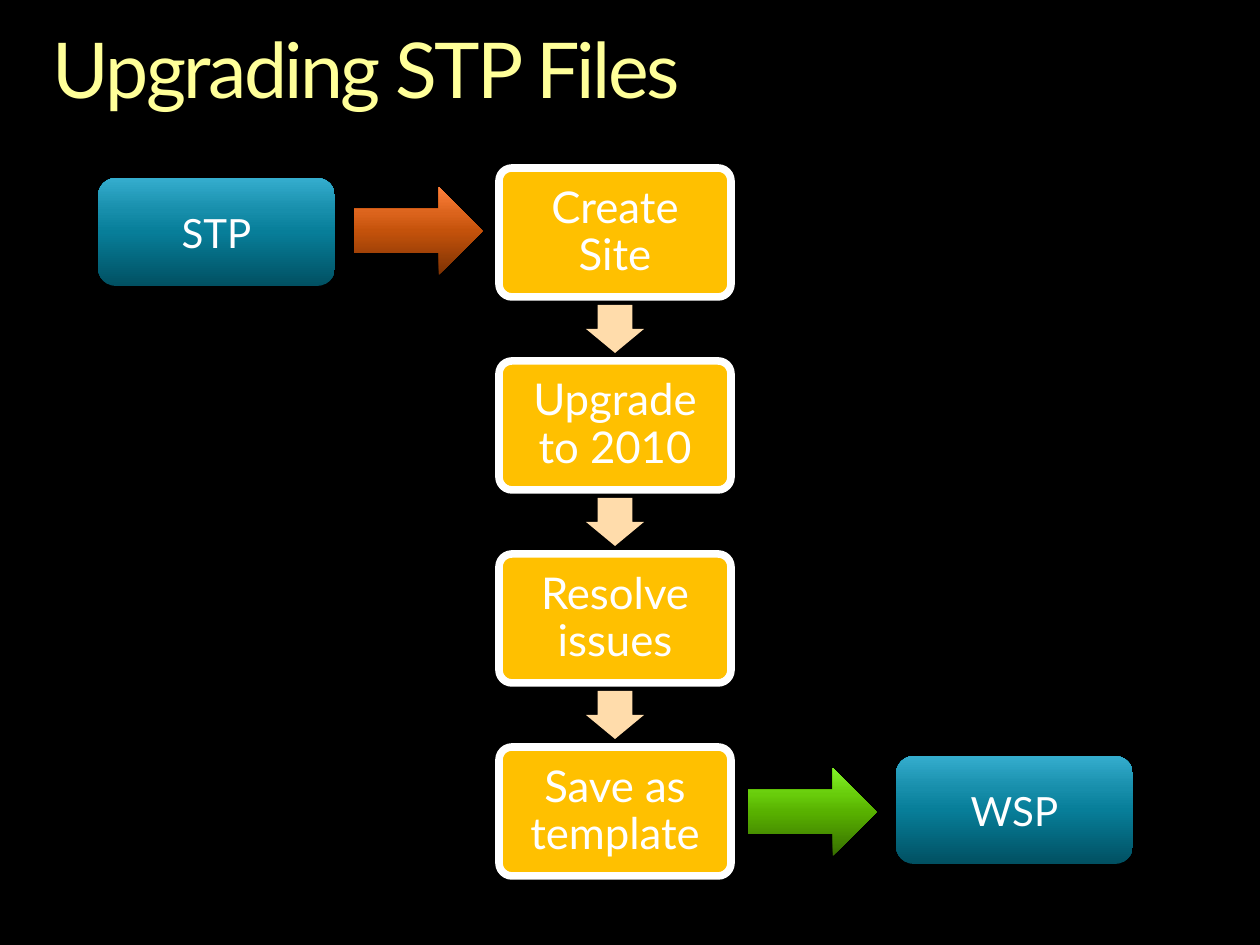
import pptx
import pptx.util
import pptx.dml.color
import pptx.enum.shapes
import pptx.enum.text
import pptx.oxml
import pptx.oxml.ns

SHAPE = pptx.enum.shapes.MSO_SHAPE
ALIGN = pptx.enum.text.PP_ALIGN
ANCHOR = pptx.enum.text.MSO_ANCHOR
AUTO = pptx.enum.text.MSO_AUTO_SIZE

TEAL = [(0, "015062"), (50, "077E99"), (70, "178EAB"), (100, "35ADCE")]
ORANGE = [(0, "7D3203"), (50, "C4520B"), (70, "DB631C"), (100, "FF803C")]
GREEN = [(0, "376E00"), (50, "58B100"), (70, "68CC0B"), (100, "83F229")]


def px(n):
    return round(n * 914400 / 126)


def rgb(color):
    return pptx.dml.color.RGBColor.from_string(color)


def element(xml):
    return pptx.oxml.parse_xml(xml.replace(">", " " + pptx.oxml.ns.nsdecls("a") + ">", 1))


class Deck:
    font = "Lato"
    white = "FFFFFF"

    def __init__(self, prs, background):
        self.slide = prs.slides.add_slide(prs.slide_layouts[6])
        fill = self.slide.background.fill
        fill.solid()
        fill.fore_color.rgb = rgb(background)

    def label(self, s, text, size, color, inset, align=ALIGN.CENTER, spacing=None):
        tf = s.text_frame
        tf.text = text
        tf.word_wrap = True
        tf.margin_left = tf.margin_right = px(inset[0])
        tf.margin_top = tf.margin_bottom = px(inset[1])
        tf.vertical_anchor = ANCHOR.MIDDLE
        p = tf.paragraphs[0]
        p.alignment = align
        if spacing:
            p.line_spacing = spacing
        r = p.runs[0]
        r.font.name = self.font
        r.font.size = pptx.util.Pt(size)
        r.font.color.rgb = rgb(color)
        return r

    def title(self, text, x, y, w, h):
        s = self.slide.shapes.add_textbox(px(x), px(y), px(w), px(h))
        r = self.label(s, text, 44, "FFFF99", (0, 0), ALIGN.LEFT, 0.9)
        r._r.get_or_add_rPr().set("spc", "-150")
        s.text_frame.vertical_anchor = ANCHOR.TOP
        s.text_frame.auto_size = AUTO.SHAPE_TO_FIT_TEXT

    def shape(self, kind, x, y, w, h):
        s = self.slide.shapes.add_shape(kind, px(x), px(y), px(w), px(h))
        s.shadow.inherit = False
        s.line.fill.background()
        return s

    def flat(self, kind, x, y, w, h, color):
        s = self.shape(kind, x, y, w, h)
        s.fill.solid()
        s.fill.fore_color.rgb = rgb(color)
        return s

    def glossy(self, kind, x, y, w, h, stops):
        s = self.shape(kind, x, y, w, h)
        s.fill.gradient()
        s.fill.gradient_angle = 90
        props = s._element.spPr
        stop_list = props.find(".//" + pptx.oxml.ns.qn("a:gsLst"))
        stop_list.clear()
        for position, color in stops:
            stop_list.append(element(
                f'<a:gs pos="{position * 1000}"><a:srgbClr val="{color}"/></a:gs>'))
        props.find(pptx.oxml.ns.qn("a:effectLst")).append(element(
            '<a:outerShdw blurRad="63500" dist="38100" dir="5400000" rotWithShape="0">'
            '<a:srgbClr val="000000"><a:alpha val="45000"/></a:srgbClr></a:outerShdw>'))
        return s

    def file_box(self, text, x, y):
        s = self.glossy(SHAPE.ROUNDED_RECTANGLE, x, y, 237, 108, TEAL)
        self.label(s, text, 23, self.white, (13, 6))

    def flow_arrow(self, x, y, stops):
        self.glossy(SHAPE.RIGHT_ARROW, x, y, 129, 88, stops)

    def step(self, text, x, y):
        s = self.flat(SHAPE.ROUNDED_RECTANGLE, x, y, 232, 129, "FFC000")
        s.adjustments[0] = 0.1
        s.line.color.rgb = rgb(self.white)
        s.line.width = pptx.util.Pt(4.33)
        self.label(s, text, 25, self.white, (13, 13), spacing=0.9)

    def step_arrow(self, x, y):
        s = self.flat(SHAPE.RIGHT_ARROW, x, y, 48, 58, "FFDCAB")
        s.adjustments[0] = 0.6
        s.rotation = 90


def main():
    prs = pptx.Presentation()
    prs.slide_width, prs.slide_height = px(1260), px(945)
    deck = Deck(prs, "000000")
    deck.title("Upgrading STP Files", 53, 32, 1155, 84)

    # Source and result files
    deck.file_box("STP", 98, 178)
    deck.file_box("WSP", 896, 756)

    # Steps, with an arrow between each pair
    steps = ["Create Site", "Upgrade to 2010", "Resolve issues", "Save as template"]
    top, pitch = 168, 193
    for i, text in enumerate(steps):
        y = top + i * pitch
        deck.step(text, 499, y)
        if i < len(steps) - 1:
            deck.step_arrow(591, y + 132)

    # Arrows into and out of the steps
    deck.flow_arrow(354, 187, ORANGE)
    deck.flow_arrow(748, 768, GREEN)

    prs.save("out.pptx")


if __name__ == "__main__":
    main()
